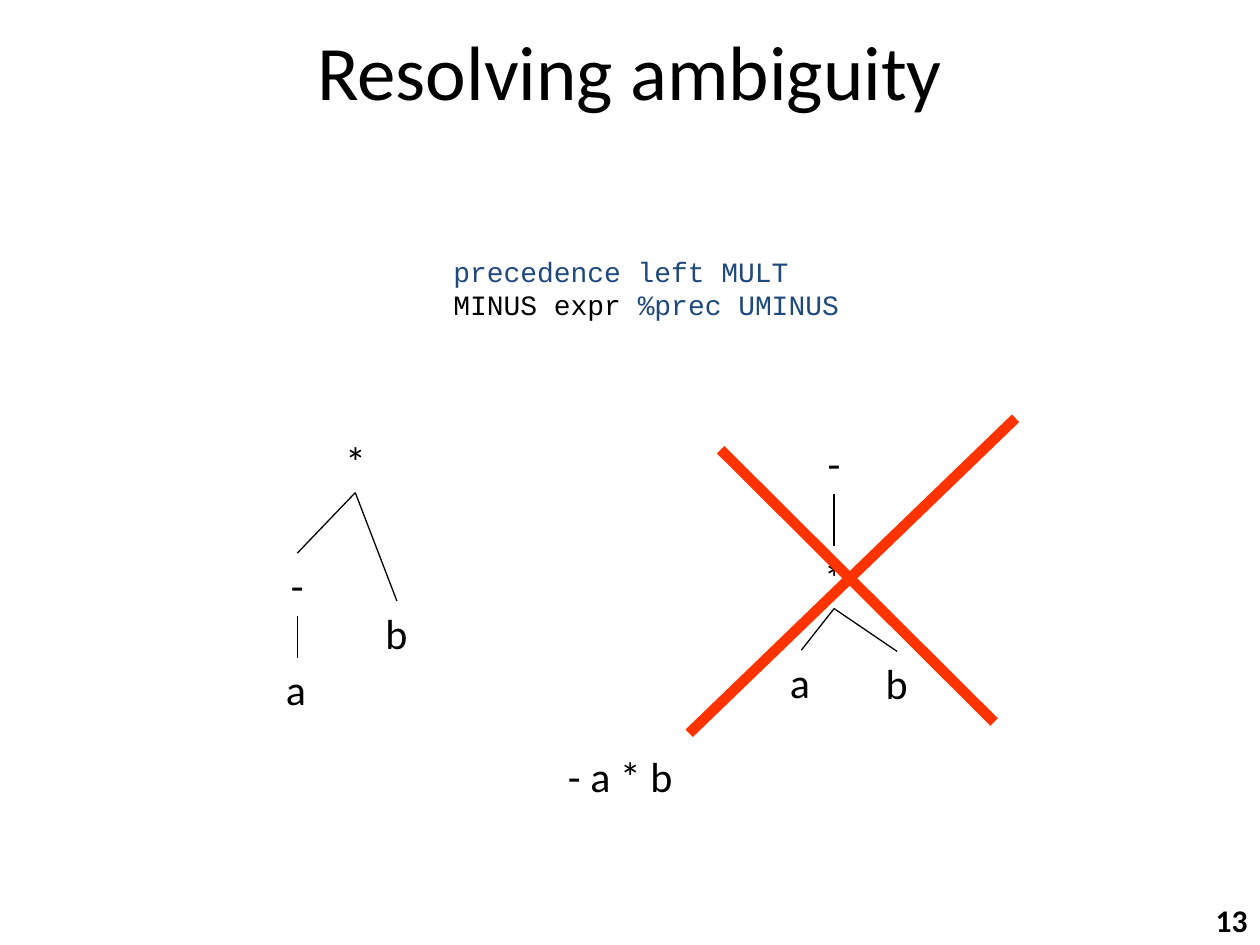
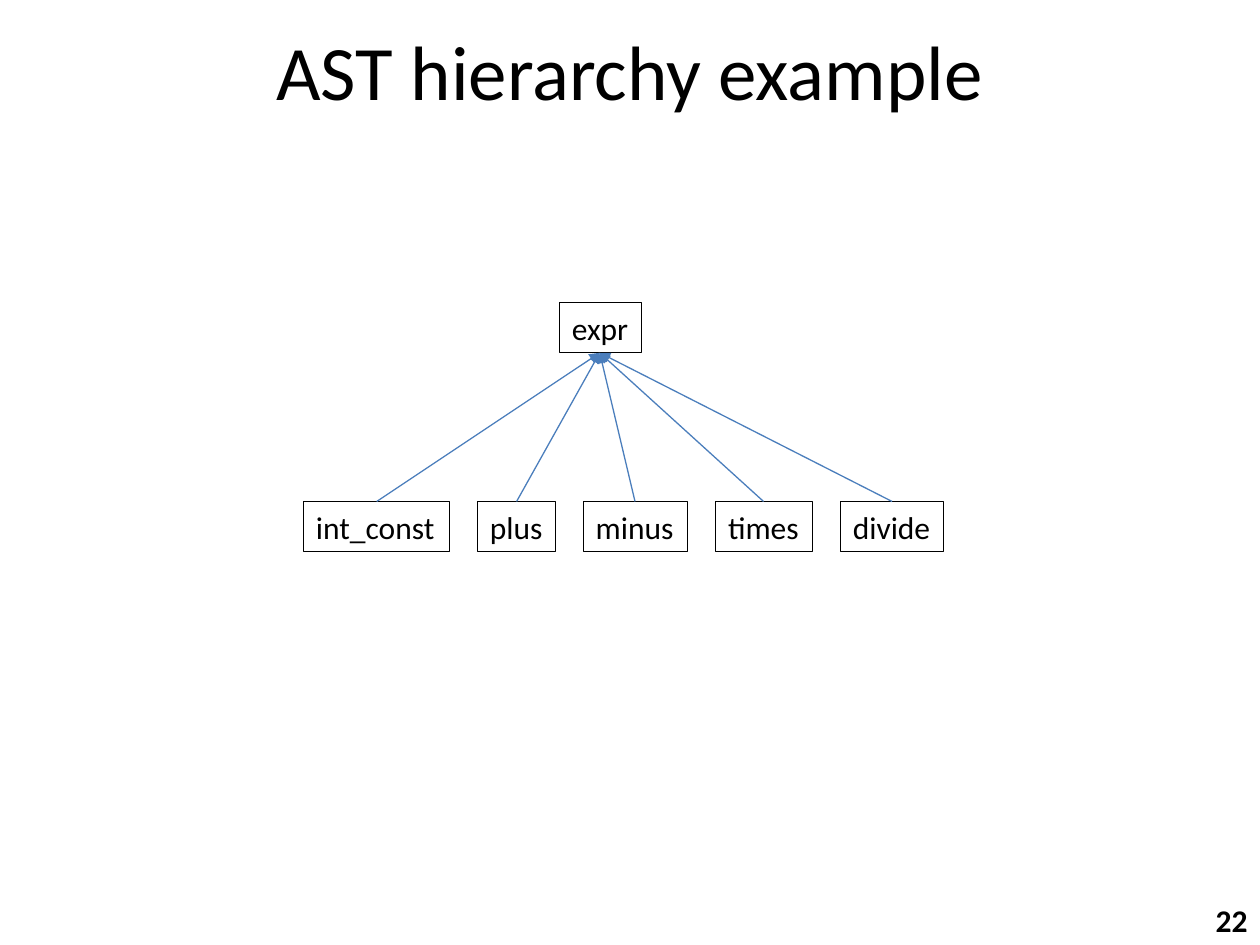
"""Build two slides on parsing: trees for an expression, and a class tree."""
from dataclasses import dataclass

from lxml.etree import SubElement
from pptx import Presentation
from pptx.dml.color import RGBColor
from pptx.enum.shapes import MSO_CONNECTOR, MSO_SHAPE
from pptx.enum.text import MSO_ANCHOR, MSO_AUTO_SIZE, PP_ALIGN
from pptx.oxml.ns import qn
from pptx.shapes.base import BaseShape
from pptx.slide import Slide
from pptx.util import Pt

PX = 9144
BLACK = RGBColor(0x00, 0x00, 0x00)
NAVY = RGBColor(0x1F, 0x49, 0x7D)
BLUE = RGBColor(0x4B, 0x7E, 0xBC)
RED = RGBColor(0xFF, 0x33, 0x00)
SANS = "Calibri"
MONO = "Courier New"
LEAF = 50
BOX = 40
GAP = 22
WIDE = {"a": 38, "b": 39, "*": 37, "-": 31}


@dataclass(frozen=True)
class Rect:
    left: int
    top: int
    width: int
    height: int

    def scaled(self) -> tuple[int, int, int, int]:
        return self.left * PX, self.top * PX, self.width * PX, self.height * PX


@dataclass(frozen=True)
class Node:
    text: str
    mid: int
    top: int
    kids: tuple["Node", ...] = ()


@dataclass(frozen=True)
class Style:
    size: int = 24
    font: str = SANS
    bold: bool = False
    align: PP_ALIGN = PP_ALIGN.LEFT
    anchor: MSO_ANCHOR = MSO_ANCHOR.TOP
    wrap: bool = False


TITLE = Style(44, align=PP_ALIGN.CENTER, anchor=MSO_ANCHOR.MIDDLE, wrap=True)
PAGE = Style(18, bold=True, align=PP_ALIGN.RIGHT, wrap=True)
CODE = Style(16, MONO)
LABEL = Style()
CLASS = Style(18)

LEFT_TREE = Node("*", 282, 341, (
    Node("-", 236, 439, (Node("a", 236, 522),)),
    Node("b", 315, 477),
))
RIGHT_TREE = Node("-", 662, 342, (
    Node("*", 662, 433, (Node("a", 636, 516), Node("b", 712, 517))),
))
LINES = (
    (("precedence left MULT", NAVY),),
    (("MINUS expr ", BLACK), ("%prec UMINUS", NAVY)),
)
CROSS = ((806, 332, 547, 582), (572, 357, 789, 573))
ROOT = Rect(444, 240, 65, BOX)
WIDTHS = {"int_const": 116, "plus": 62, "minus": 83, "times": 77, "divide": 82}


def set_style(shape: BaseShape, style: Style) -> None:
    frame = shape.text_frame
    frame.word_wrap = style.wrap
    frame.auto_size = MSO_AUTO_SIZE.NONE if style.wrap else MSO_AUTO_SIZE.SHAPE_TO_FIT_TEXT
    frame.vertical_anchor = style.anchor
    for para in frame.paragraphs:
        para.alignment = style.align
        para.font.size = Pt(style.size)
        para.font.name = style.font
        para.font.bold = style.bold
        para.font.color.rgb = BLACK


def add_text(slide: Slide, rect: Rect, text: str, style: Style) -> None:
    box = slide.shapes.add_textbox(*rect.scaled())
    box.text_frame.text = text
    set_style(box, style)


def add_code(slide: Slide, rect: Rect) -> None:
    box = slide.shapes.add_textbox(*rect.scaled())
    para = box.text_frame.paragraphs[0]
    for row, parts in enumerate(LINES):
        if row:
            para.add_line_break()
        for text, color in parts:
            run = para.add_run()
            run.text = text
            run.font.color.rgb = color
    set_style(box, CODE)


def add_class(slide: Slide, rect: Rect, text: str) -> None:
    box = slide.shapes.add_shape(MSO_SHAPE.RECTANGLE, *rect.scaled())
    box.shadow.inherit = False
    box.fill.background()
    box.line.color.rgb = BLACK
    box.line.width = Pt(0.75)
    box.text_frame.text = text
    set_style(box, CLASS)


def add_line(slide: Slide, ends: tuple[int, int, int, int], color: RGBColor = BLACK,
             width: float = 0.75, arrow: bool = False) -> None:
    line = slide.shapes.add_connector(MSO_CONNECTOR.STRAIGHT, *(end * PX for end in ends))
    line.line.color.rgb = color
    line.line.width = Pt(width)
    props = line.element.spPr
    if arrow:
        SubElement(props.find(qn("a:ln")), qn("a:tailEnd"), type="triangle")
    SubElement(props, qn("a:effectLst"))


def add_tree(slide: Slide, node: Node) -> None:
    width = WIDE[node.text]
    add_text(slide, Rect(node.mid - width // 2, node.top, width, LEAF), node.text, LABEL)
    for kid in node.kids:
        add_line(slide, (node.mid, node.top + LEAF, kid.mid, kid.top))
        add_tree(slide, kid)


def add_slide(deck: Presentation, title: str, page: int) -> Slide:
    slide = deck.slides.add_slide(deck.slide_layouts[6])
    add_text(slide, Rect(50, 13, 900, 85), title, TITLE)
    add_text(slide, Rect(949, 710, 51, 40), str(page), PAGE)
    return slide


def add_parse(deck: Presentation) -> None:
    slide = add_slide(deck, "Resolving ambiguity", 13)
    add_text(slide, Rect(441, 591, 104, LEAF), "- a * b", LABEL)
    add_code(slide, Rect(350, 197, 331, 64))
    add_tree(slide, LEFT_TREE)
    add_tree(slide, RIGHT_TREE)
    for ends in CROSS:
        add_line(slide, ends, RED, 6)


def add_types(deck: Presentation) -> None:
    slide = add_slide(deck, "AST hierarchy example", 22)
    add_class(slide, ROOT, "expr")
    left, top = 241, 398
    for name, width in WIDTHS.items():
        add_class(slide, Rect(left, top, width, BOX), name)
        add_line(slide, (left + width // 2, top, ROOT.left + ROOT.width // 2,
                         ROOT.top + BOX), BLUE, arrow=True)
        left += width + GAP


def main() -> None:
    deck = Presentation()
    deck.slide_width = 1000 * PX
    deck.slide_height = 750 * PX
    add_parse(deck)
    add_types(deck)
    deck.save("out.pptx")


if __name__ == "__main__":
    main()
